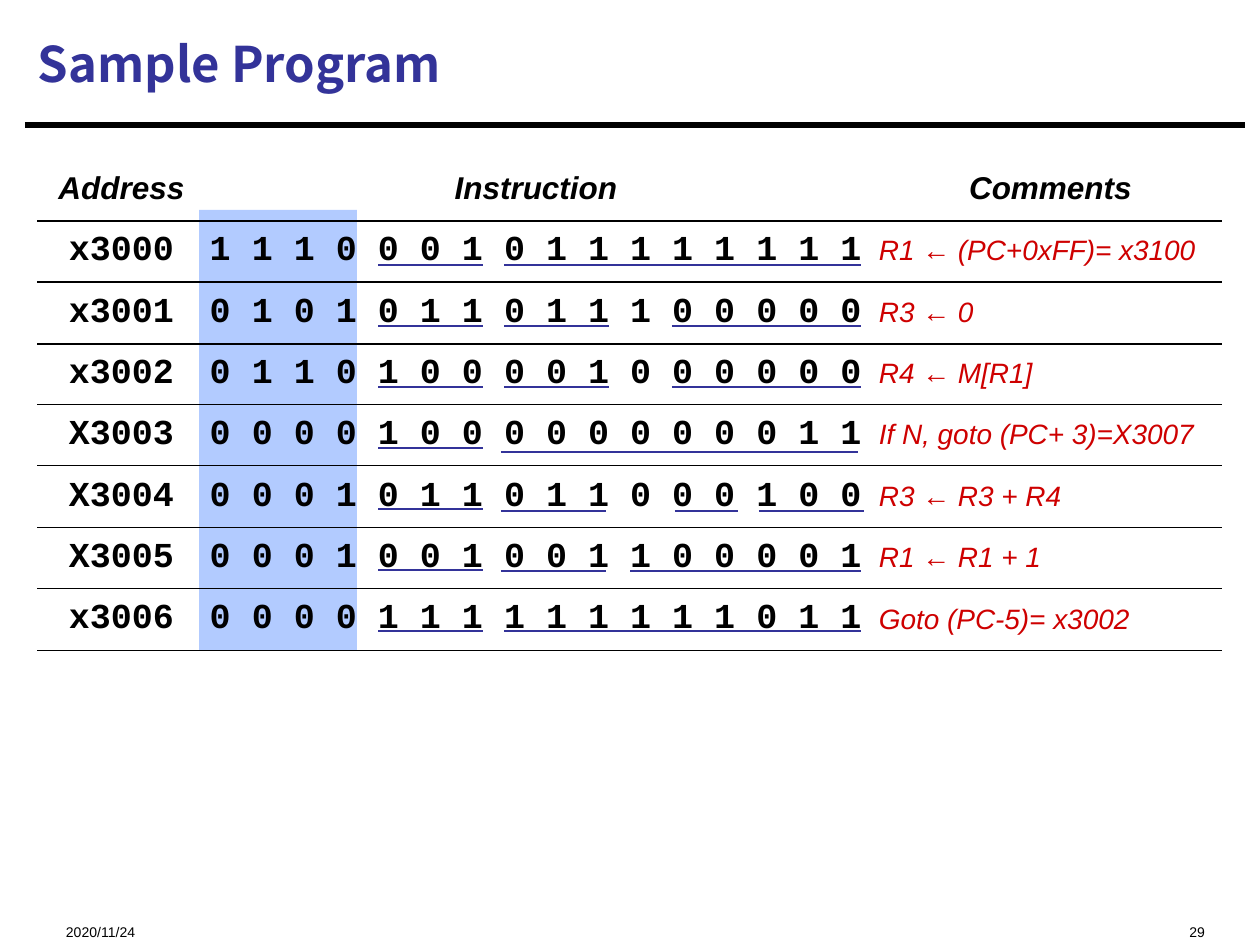
from dataclasses import dataclass

from lxml import etree
from pptx import Presentation
from pptx.dml.color import RGBColor
from pptx.enum.shapes import MSO_CONNECTOR, MSO_SHAPE
from pptx.enum.text import MSO_ANCHOR, PP_ALIGN
from pptx.oxml.ns import qn
from pptx.util import Emu, Pt

LEFT, CENTER, RIGHT = PP_ALIGN.LEFT, PP_ALIGN.CENTER, PP_ALIGN.RIGHT
MIDDLE, BOTTOM = MSO_ANCHOR.MIDDLE, MSO_ANCHOR.BOTTOM
STRAIGHT, RECTANGLE = MSO_CONNECTOR.STRAIGHT, MSO_SHAPE.RECTANGLE
PX_PER_INCH = 126
INSET = 13


@dataclass(frozen=True)
class Style:
    """Font, size, colour and emphasis of one kind of text."""
    font: str
    size: int
    color: str = "000000"
    bold: bool = False
    italic: bool = False


@dataclass(frozen=True)
class Theme:
    """Colours, line widths and type styles of the slide."""
    ink: str = "000000"
    accent: str = "333399"
    opcode: str = "6699FF"
    opcode_alpha: int = 50
    header_rule: float = 3.75
    row_rule: float = 1
    field_rule: float = 0.75
    title: Style = Style("Noto Sans CJK SC", 28, "333399", bold=True)
    heading: Style = Style("Arial", 18, bold=True, italic=True)
    code: Style = Style("Courier New", 20, bold=True)
    comment: Style = Style("Arial", 16, "CE0000", italic=True)
    footer: Style = Style("Arial", 8)


THEME = Theme()
HEADINGS = ["Address", "Instruction", "Comments"]
PROGRAM = [
    ("x3000", "1 1 1 0 0 0 1 0 1 1 1 1 1 1 1 1", "R1 ← (PC+0xFF)= x3100"),
    ("x3001", "0 1 0 1 0 1 1 0 1 1 1 0 0 0 0 0", "R3 ← 0"),
    ("x3002", "0 1 1 0 1 0 0 0 0 1 0 0 0 0 0 0", "R4 ← M[R1]"),
    ("X3003", "0 0 0 0 1 0 0 0 0 0 0 0 0 0 1 1", "If N, goto (PC+ 3)=X3007"),
    ("X3004", "0 0 0 1 0 1 1 0 1 1 0 0 0 1 0 0", "R3 ← R3 + R4"),
    ("X3005", "0 0 0 1 0 0 1 0 0 1 1 0 0 0 0 1", "R1 ← R1 + 1"),
    ("x3006", "0 0 0 0 1 1 1 1 1 1 1 1 1 0 1 1", "Goto (PC-5)= x3002"),
]
REGISTER = (4, 6, 0, 0)
FIELDS = [
    [REGISTER, (7, 15, 0, 0)],
    [REGISTER, (7, 9, 0, 0), (11, 15, 0, 0)],
    [REGISTER, (7, 9, 0, 0), (11, 15, 0, 0)],
    [REGISTER, (7, 15, -3, 4)],
    [REGISTER, (7, 9, -3, 2), (11, 12, 3, 2), (13, 15, 3, 2)],
    [REGISTER, (7, 9, -3, 1), (10, 15, 0, 1)],
    [REGISTER, (7, 15, 0, 0)],
]


def px(length):
    """Turn pixels into EMU."""
    return Emu(round(length * 914400 / PX_PER_INCH))


def rgb(color):
    """Turn a hex string into a colour."""
    return RGBColor.from_string(color)


def write(frame, text, style, align):
    """Write one styled run into the first paragraph of a text frame."""
    paragraph = frame.paragraphs[0]
    paragraph.alignment = align
    run = paragraph.add_run()
    run.text = text
    run.font.name = style.font
    run.font.size = Pt(style.size)
    run.font.bold = style.bold
    run.font.italic = style.italic
    run.font.color.rgb = rgb(style.color)
    run_props = run.font._element
    for script in ("a:ea", "a:cs"):
        etree.SubElement(run_props, qn(script), typeface=style.font)


def add_label(slide, box, text, style, align, anchor):
    """Add a wrapped text box with side insets only."""
    frame = slide.shapes.add_textbox(*map(px, box)).text_frame
    frame.word_wrap = True
    frame.vertical_anchor = anchor
    frame.margin_left = frame.margin_right = px(INSET)
    frame.margin_top = frame.margin_bottom = 0
    write(frame, text, style, align)


def add_rule(slide, x1, x2, y, color, width):
    """Add a horizontal line without a shadow."""
    rule = slide.shapes.add_connector(STRAIGHT, px(x1), px(y), px(x2), px(y))
    rule.line.color.rgb = rgb(color)
    rule.line.width = Pt(width)
    etree.SubElement(rule._element.spPr, qn("a:effectLst"))


def add_header(slide, box):
    """Place the title and the heavy rule below it."""
    left, top, width, height = box
    add_rule(slide, left, left + width, top + height + 9, THEME.ink, THEME.header_rule)
    add_label(slide, box, "Sample Program", THEME.title, LEFT, MIDDLE)


def add_footer(slide, box):
    """Place the date at the left and the slide number at the right."""
    left, top, width, height = box
    number_width = 378
    add_label(slide, (left, top, 315, height), "2020/11/24", THEME.footer, LEFT, BOTTOM)
    add_label(slide, (left + width - number_width, top, number_width, height),
              "29", THEME.footer, RIGHT, BOTTOM)


def set_borders(cell, ruled_sides):
    """Rule the named sides of a cell and clear the others."""
    cell_props = cell._tc.get_or_add_tcPr()
    for order, side in enumerate("LRTB"):
        border = etree.Element(qn(f"a:ln{side}"), w=str(Pt(THEME.row_rule)))
        if side in ruled_sides:
            fill = etree.SubElement(border, qn("a:solidFill"))
            etree.SubElement(fill, qn("a:srgbClr"), val=THEME.ink)
        else:
            etree.SubElement(border, qn("a:noFill"))
        cell_props.insert(order, border)


def add_opcode_band(slide, box):
    """Place the translucent band behind the opcode bits."""
    band = slide.shapes.add_shape(RECTANGLE, *map(px, box))
    band.shadow.inherit = False
    band.line.fill.background()
    band.fill.solid()
    band.fill.fore_color.rgb = rgb(THEME.opcode)
    color = band._element.spPr.find(qn("a:solidFill"))[0]
    etree.SubElement(color, qn("a:alpha"), val=str(THEME.opcode_alpha * 1000))


def add_program_table(slide, box):
    """Place the table of addresses, instructions and comments."""
    height = box[3]
    rows = [HEADINGS, *PROGRAM]
    table = slide.shapes.add_table(len(rows), len(HEADINGS), *map(px, box)).table
    table.first_row = table.horz_banding = False
    for column, width in zip(table.columns, (156, 673, 356)):
        column.width = px(width)
    body_styles = [(THEME.code, CENTER), (THEME.code, CENTER), (THEME.comment, LEFT)]
    for r, texts in enumerate(rows):
        is_heading = r == 0
        edges = [height * edge // len(rows) for edge in (r, r + 1)]
        table.rows[r].height = px(edges[1] - edges[0])
        for c, text in enumerate(texts):
            cell = table.cell(r, c)
            cell.vertical_anchor = MIDDLE
            cell.margin_left = px(INSET)
            cell.margin_right = 0
            cell.margin_top = cell.margin_bottom = px(INSET if is_heading else 0)
            cell.fill.background()
            set_borders(cell, "B" if is_heading else "TB")
            style, align = (THEME.heading, CENTER) if is_heading else body_styles[c]
            write(cell.text_frame, text, style, align)


def add_field_rules(slide, left, top):
    """Underline the operand fields, given where the first bit and first line lie."""
    bit_pitch, bit_width, row_pitch = 42, 21, 61
    for row, fields in enumerate(FIELDS):
        for first, last, dx, dy in fields:
            start = left + bit_pitch * first + dx
            end = left + bit_pitch * last + bit_width + dx
            add_rule(slide, start, end, top + row_pitch * row + dy,
                     THEME.accent, THEME.field_rule)


def add_program(slide, box):
    """Place the opcode band, the program table and the field underlines."""
    left, top, width, height = box
    add_opcode_band(slide, (left + 162, top + 53, 158, 441))
    add_program_table(slide, box)
    add_field_rules(slide, left + 173, top + 108)


def main():
    """Build the slide and save it."""
    deck = Presentation()
    deck.slide_width, deck.slide_height = px(1260), px(945)
    slide = deck.slides.add_slide(deck.slide_layouts[6])
    add_header(slide, (25, 10, 1220, 106))
    add_footer(slide, (53, 906, 1165, 34))
    add_program(slide, (37, 157, 1185, 491))
    deck.save("out.pptx")


if __name__ == "__main__":
    main()
